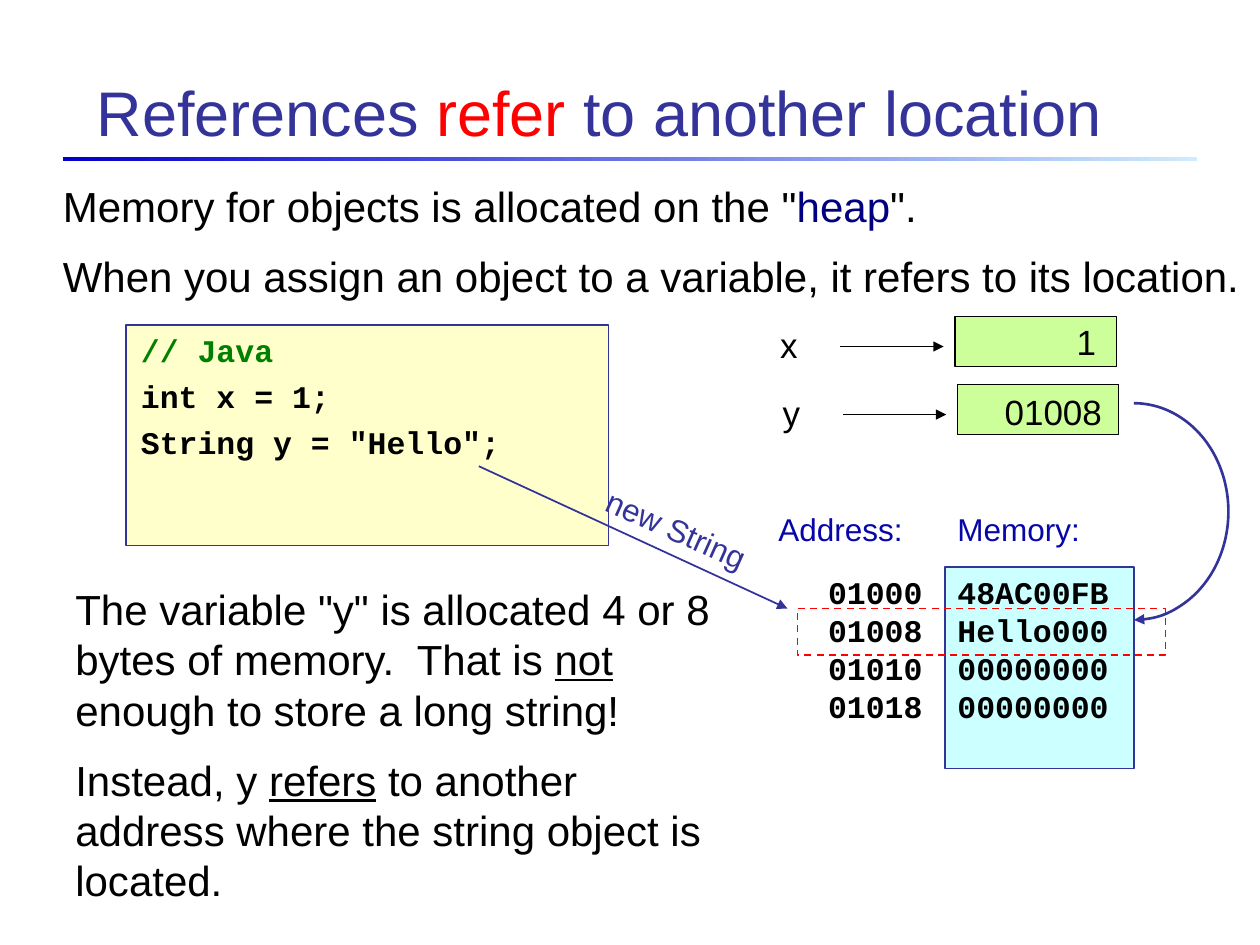
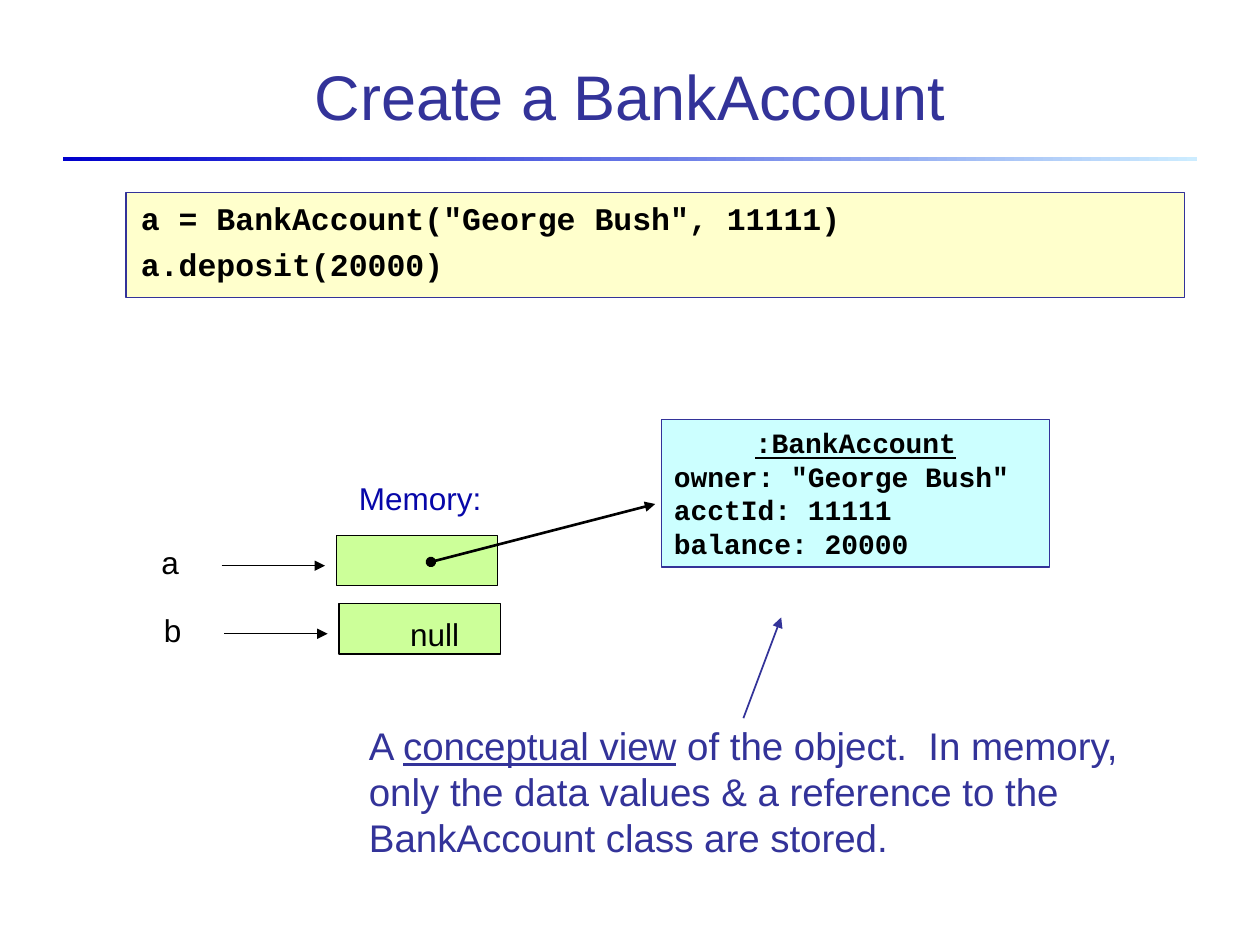
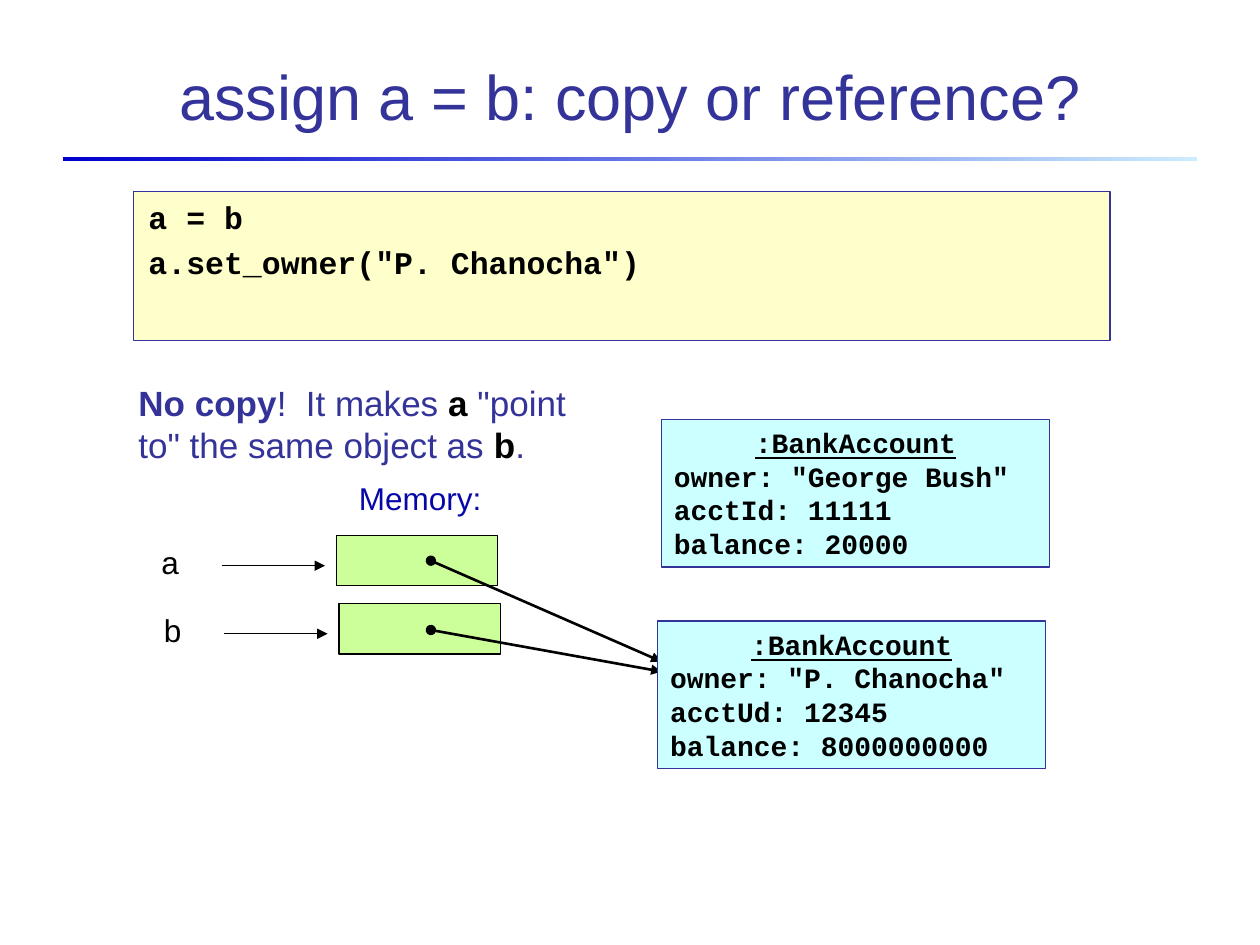
from lxml.etree import SubElement
from pptx import Presentation
from pptx.dml.color import RGBColor
from pptx.enum.dml import MSO_LINE
from pptx.enum.shapes import MSO_CONNECTOR, MSO_SHAPE
from pptx.enum.text import MSO_ANCHOR, PP_ALIGN
from pptx.oxml.ns import qn
from pptx.util import Inches, Pt

COLORS = {
    "black": "000000", "indigo": "333399", "red": "FF0000", "green": "008000",
    "navy": "000080", "label": "0707A9", "code": "FFFFCC", "cell": "CCFF99",
    "object": "CCFFFF", "rule_start": "0000CC", "rule_end": "CCECFF",
}
SANS, MONO = "Arial", "Courier New"

# Content: a paragraph is a string or a list of (text, run style) pairs
UNDERLINE = {"underline": True}
NAME = {"bold": True, "color": "black"}

REFER_TITLE = [("References ", {}), ("refer", {"color": "red"}), (" to another location", {})]
HEAP_TEXT = [
    [('Memory for objects is allocated on the "', {}), ("heap", {"color": "navy"}), ('".', {})],
    "When you assign an object to a variable, it refers to its location.",
]
JAVA_CODE = [[("// Java", {"color": "green"})], "int x = 1;", 'String y = "Hello";']
MEMORY = [("01000", "48AC00FB"), ("01008", "Hello000"), ("01010", "00000000"), ("01018", "00000000")]
SIZE_TEXT = [
    [('The variable "y" is allocated 4 or 8 bytes of memory.  That is ', {}),
     ("not", UNDERLINE), (" enough to store a long string!", {})],
    [("Instead, y ", {}), ("refers", UNDERLINE),
     (" to another address where the string object is located.", {})],
]

CREATE_CODE = ['a = BankAccount("George Bush", 11111)', "a.deposit(20000)"]
VIEW_TEXT = [[
    ("A ", {}), ("conceptual view", UNDERLINE),
    (" of the object.  In memory, only the data values & a reference to the "
     "BankAccount class are stored.", {}),
]]
FIRST_ACCOUNT = ['owner: "George Bush"', "acctId: 11111", "balance: 20000"]

ASSIGN_CODE = ["a = b", 'a.set_owner("P. Chanocha")']
SECOND_ACCOUNT = ['owner: "P. Chanocha"', "acctUd: 12345", "balance: 8000000000"]
NO_COPY_TEXT = [[
    ("No copy", {"bold": True}), ("!  It makes ", {}), ("a", NAME),
    (' "point to" the same object as ', {}), ("b", NAME), (".", {}),
]]


def rgb(name):
    return RGBColor.from_string(COLORS[name])


# Text and shapes
def write(sp, paragraphs, size, font=SANS, color="black", bold=False,
          align=PP_ALIGN.LEFT, anchor=MSO_ANCHOR.TOP, space=0, wrap=True):
    tf = sp.text_frame
    tf.word_wrap = wrap
    tf.vertical_anchor = anchor
    for i, content in enumerate(paragraphs):
        p = tf.paragraphs[0] if i == 0 else tf.add_paragraph()
        p.alignment = align
        p.space_before = Pt(space if i else 0)
        for text, style in [(content, {})] if isinstance(content, str) else content:
            r = p.add_run()
            r.text = text
            r.font.name, r.font.size = font, Pt(size)
            r.font.bold = style.get("bold", bold)
            r.font.underline = style.get("underline", False)
            r.font.color.rgb = rgb(style.get("color", color))
    return tf


def add_text(s, at, paragraphs, size, **style):
    sp = s.shapes.add_textbox(*map(Inches, at))
    write(sp, paragraphs, size, **style)
    return sp


def add_box(s, at, fill=None, line="indigo", width=0.75, kind=MSO_SHAPE.RECTANGLE):
    sp = s.shapes.add_shape(kind, *map(Inches, at))
    sp.shadow.inherit = False
    if fill:
        sp.fill.solid()
        sp.fill.fore_color.rgb = rgb(fill)
    else:
        sp.fill.background()
    sp.line.color.rgb = rgb(line)
    sp.line.width = Pt(width)
    return sp


def add_ends(sp, head=None, tail="triangle"):
    ln = sp.line._get_or_add_ln()
    for tag, end in (("a:headEnd", head), ("a:tailEnd", tail)):
        if end:
            SubElement(ln, qn(tag), type=end)


def add_arrow(s, start, end, color="black", width=0.75, head=None):
    c = s.shapes.add_connector(MSO_CONNECTOR.STRAIGHT, *map(Inches, (*start, *end)))
    c.line.color.rgb = rgb(color)
    c.line.width = Pt(width)
    add_ends(c, head)
    SubElement(c._element.spPr, qn("a:effectLst"))


# Parts shared by the slides
def add_slide(prs, title, align=PP_ALIGN.CENTER, anchor=MSO_ANCHOR.MIDDLE):
    s = prs.slides.add_slide(prs.slide_layouts[6])
    rule = add_box(s, (0.5, 1.25, 9, 0.03))
    rule.line.fill.background()
    rule.fill.gradient()
    rule.fill.gradient_angle = 0
    for stop, name in zip(rule.fill.gradient_stops, ("rule_start", "rule_end")):
        stop.color.rgb = rgb(name)
    add_text(s, (0.67, 0.28, 8.66, 0.95), [title], 36, color="indigo", align=align, anchor=anchor)
    return s


def add_code(s, at, lines):
    tf = write(add_box(s, at, "code"), lines, 18, font=MONO, bold=True, space=4.5)
    for p in tf.paragraphs:
        pPr = p._p.get_or_add_pPr()
        pPr.set("marL", str(Inches(0.25)))
        pPr.set("indent", str(Inches(-0.23)))


def add_variables(s, left, top, names, size):
    """Stack one label, arrow and cell for each variable; return the cells."""
    cells = []
    for i, name in enumerate(names):
        x, y = left + 0.02 * i, top + 0.54 * i
        cells.append(add_box(s, (x, y, 1.28, 0.4), "cell", "black"))
        add_text(s, (x - 1.53, y + 0.01, 0.42, 0.44), [name], size,
                 align=PP_ALIGN.CENTER, wrap=False)
        add_arrow(s, (x - 0.91, y + 0.24), (x - 0.09, y + 0.24))
    return cells


def add_label(s, left, top, text):
    add_text(s, (left, top, 1.27, 0.4), [text], 18, color="label")


def add_account(s, left, top, fields):
    sp = add_box(s, (left, top, 3.08, 1.17), "object")
    tf = write(sp, [[(":BankAccount", UNDERLINE)], *fields], 16, font=MONO, bold=True)
    tf.paragraphs[0].alignment = PP_ALIGN.CENTER


def add_account_memory(s):
    add_variables(s, 2.67, 4.25, "ab", 18)
    add_label(s, 2.75, 3.75, "Memory:")


def refer_slide(prs):
    s = add_slide(prs, REFER_TITLE, PP_ALIGN.LEFT, MSO_ANCHOR.BOTTOM)
    add_code(s, (1, 2.58, 3.83, 1.75), JAVA_CODE)

    # Variables and their values
    x_cell, _ = add_variables(s, 7.58, 2.51, "xy", 20)
    tf = write(x_cell, ["1"], 20, align=PP_ALIGN.RIGHT, anchor=MSO_ANCHOR.MIDDLE)
    tf.margin_right = Inches(0.16)
    add_text(s, (7.84, 3.05, 1.04, 0.44), ["01008"], 20, align=PP_ALIGN.CENTER, wrap=False)
    add_text(s, (0.4, 1.38, 9.68, 1.06), HEAP_TEXT, 24, space=11.2)

    # Memory map
    addresses, values = zip(*MEMORY)
    write(add_box(s, (7.5, 4.5, 1.5, 1.6), "object"), values, 18, font=MONO, bold=True)
    add_text(s, (5.92, 4.5, 1.5, 1.6), addresses, 18, font=MONO, bold=True, align=PP_ALIGN.RIGHT)
    add_label(s, 7.5, 4, "Memory:")
    add_label(s, 6.08, 4, "Address:")
    add_arrow(s, (3.8, 3.7), (6.25, 4.83), "indigo", 1)
    add_text(s, (0.5, 4.58, 5.3, 2.66), SIZE_TEXT, 24, space=11.2)

    # Half circle from y to the string it refers to
    arc = add_box(s, (8.25, 3.2, 1.5, 1.72), width=1.5, kind=MSO_SHAPE.ARC)
    arc.adjustments[0], arc.adjustments[1] = 162, 54
    add_ends(arc)
    frame = add_box(s, (6.33, 4.83, 2.92, 0.37), line="red", width=1)
    frame.line.dash_style = MSO_LINE.DASH
    new = add_text(s, (4.68, 4, 1.38, 0.4), ["new String"], 18, color="indigo", wrap=False)
    new.rotation = 24


def create_slide(prs):
    s = add_slide(prs, "Create a BankAccount")
    add_code(s, (1, 1.53, 8.4, 0.83), CREATE_CODE)
    add_account_memory(s)
    add_text(s, (3.12, 4.83, 0.66, 0.4), ["null"], 18, align=PP_ALIGN.CENTER, wrap=False)
    add_account(s, 5.25, 3.33, FIRST_ACCOUNT)
    add_text(s, (2.83, 5.68, 6.67, 1.2), VIEW_TEXT, 22, color="indigo")
    add_arrow(s, (5.9, 5.7), (6.2, 4.9), "indigo", 1)
    add_arrow(s, (3.42, 4.46), (5.2, 4), width=1.5, head="oval")


def assign_slide(prs):
    s = add_slide(prs, "assign a = b: copy or reference?")
    add_code(s, (1.06, 1.52, 7.75, 1.18), ASSIGN_CODE)
    add_account_memory(s)
    for start_y, end_y in ((5, 5.33), (4.45, 5.25)):
        add_arrow(s, (3.42, start_y), (5.25, end_y), width=1.5, head="oval")
    add_text(s, (1, 2.98, 3.75, 0.77), NO_COPY_TEXT, 20, color="indigo")
    add_account(s, 5.22, 4.93, SECOND_ACCOUNT)
    add_account(s, 5.25, 3.33, FIRST_ACCOUNT)


def main():
    prs = Presentation()
    prs.slide_width, prs.slide_height = Inches(10), Inches(7.5)
    for build in (refer_slide, create_slide, assign_slide):
        build(prs)
    prs.save("out.pptx")


if __name__ == "__main__":
    main()
